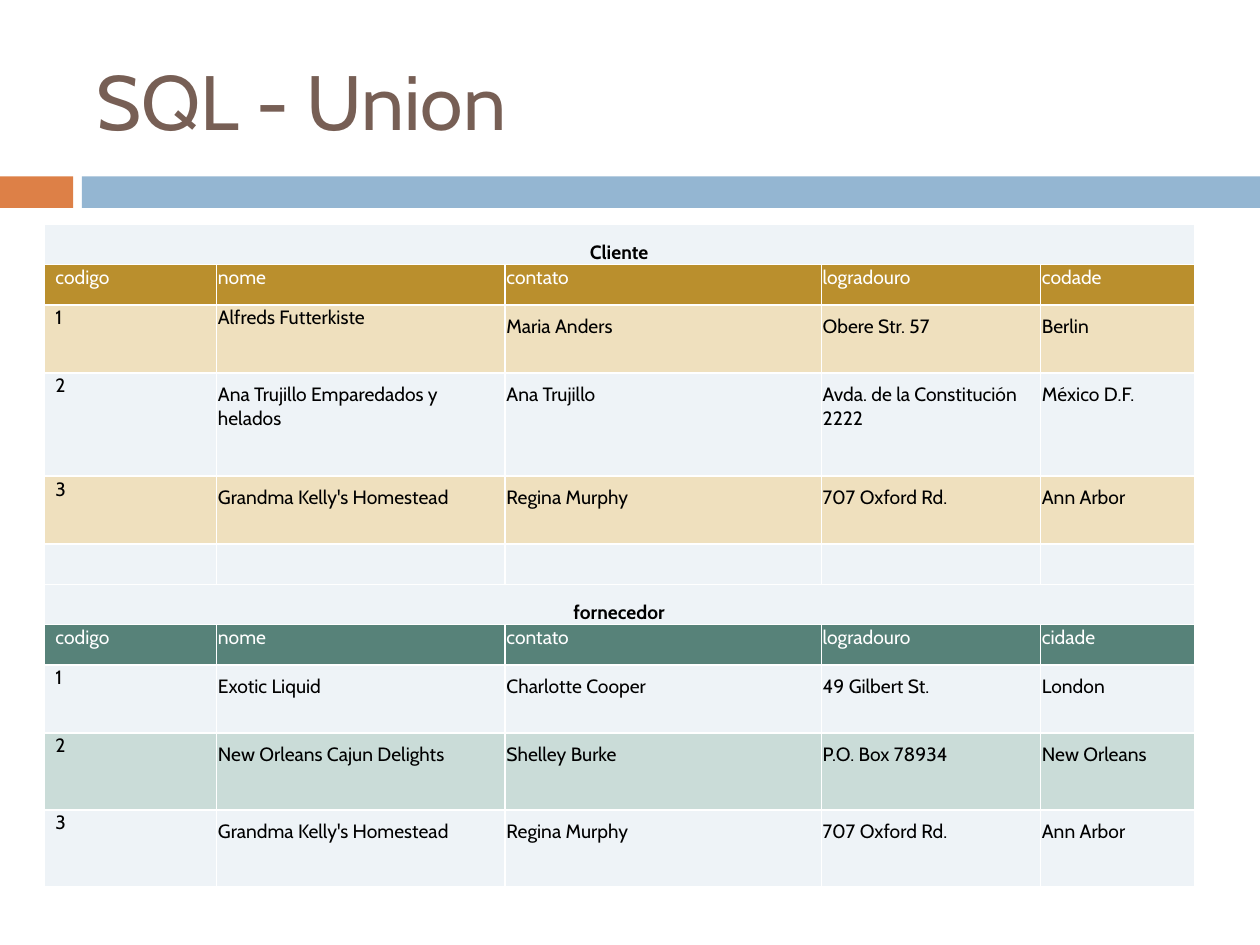
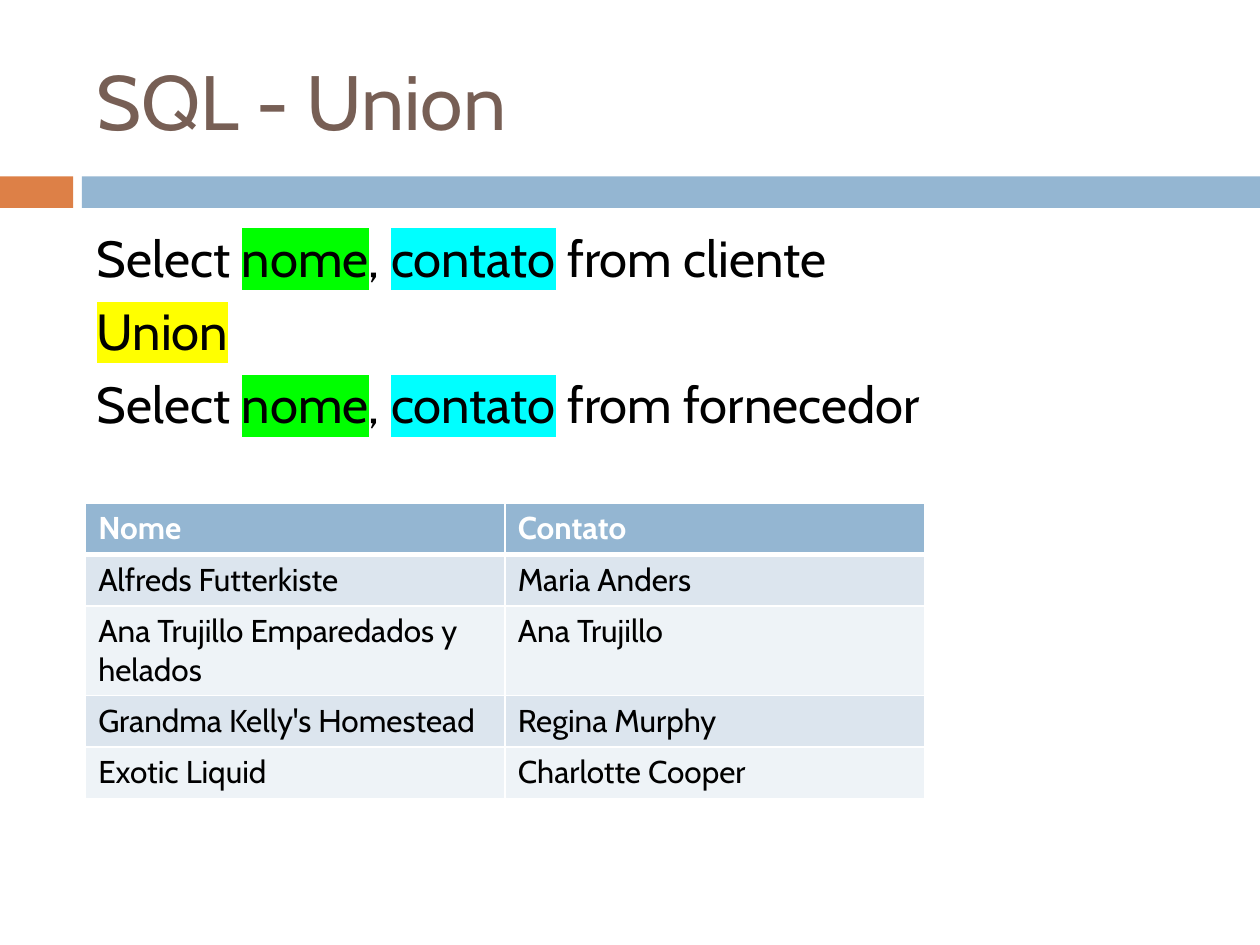
from lxml import etree
from pptx import Presentation
from pptx.dml.color import RGBColor
from pptx.enum import shapes, text
from pptx.oxml import ns
from pptx import util as u

PX = 9144
FONT = "Cabin"
WHITE = RGBColor(0xFF, 0xFF, 0xFF)
BLACK = RGBColor(0, 0, 0)
BROWN = RGBColor(0x77, 0x5F, 0x55)
ORANGE = RGBColor(0xDD, 0x80, 0x47)
BLUE = RGBColor(0x94, 0xB6, 0xD2)
MIST = RGBColor(0xDC, 0xE5, 0xEE)
PALE = RGBColor(0xEE, 0xF3, 0xF7)
GOLD = RGBColor(0xBA, 0x8F, 0x2D)
SAND = RGBColor(0xEF, 0xE0, 0xBE)
TEAL = RGBColor(0x57, 0x82, 0x79)
SAGE = RGBColor(0xCA, 0xDC, 0xD8)
GREEN = RGBColor(0, 0xFF, 0)
CYAN = RGBColor(0, 0xFF, 0xFF)
YELLOW = RGBColor(0xFF, 0xFF, 0)


def add_run(p, words, size, color=BLACK, bold=False, highlight=None):
    r = p.add_run()
    r.text = words
    r.font.color.rgb = color
    if highlight is not None:
        hl = etree.SubElement(r.font._element, ns.qn("a:highlight"))
        etree.SubElement(hl, ns.qn("a:srgbClr"), val=str(highlight))
    for name, value in {"size": u.Pt(size), "name": FONT, "bold": bold}.items():
        setattr(r.font, name, value)


def format_cell(cell, words, size, fill, color, bold, margins, top=1, bottom=1):
    for name, value in zip(("left", "top", "right", "bottom"), margins):
        setattr(cell, f"margin_{name}", value * PX)
    tcPr = cell._tc.get_or_add_tcPr()
    for side, width in zip("LRTB", (1, 1, top, bottom)):
        ln = etree.SubElement(tcPr, ns.qn(f"a:ln{side}"), w=str(u.Pt(width)))
        solid = etree.SubElement(ln, ns.qn("a:solidFill"))
        etree.SubElement(solid, ns.qn("a:srgbClr"), val=str(WHITE))
    cell.fill.solid()
    cell.fill.fore_color.rgb = fill
    p = cell.text_frame.paragraphs[0]
    if words:
        add_run(p, words, size, color, bold)
    else:
        etree.SubElement(p._p, ns.qn("a:endParaRPr"), sz=str(size * 100))


prs = Presentation()
prs.slide_width, prs.slide_height = 1000 * PX, 750 * PX

for _ in range(2):
    s = prs.slides.add_slide(prs.slide_layouts[6])
    for left, width, color in ((0, 58, ORANGE), (65, 935, BLUE)):
        sp = s.shapes.add_shape(shapes.MSO_SHAPE.RECTANGLE,
                                left * PX, 140 * PX, width * PX, 25 * PX)
        sp.shadow.inherit = False
        sp.fill.solid()
        sp.fill.fore_color.rgb = color
        sp.line.fill.background()
    tf = s.shapes.add_textbox(67 * PX, 25 * PX, 892 * PX, 108 * PX).text_frame
    tf.word_wrap = True
    tf.vertical_anchor = text.MSO_ANCHOR.MIDDLE
    add_run(tf.paragraphs[0], "SQL - Union", 44, BROWN)

tables_slide, query_slide = prs.slides

rows = [
    (32, PALE, ["Cliente"]),
    (32, GOLD, ["codigo", "nome", "contato", "logradouro", "codade"]),
    (54, SAND, ["1", "Alfreds Futterkiste", "Maria Anders", "Obere Str. 57", "Berlin"]),
    (82, PALE, ["2", "Ana Trujillo Emparedados y helados", "Ana Trujillo",
                "Avda. de la Constitución 2222", "México D.F."]),
    (54, SAND, ["3", "Grandma Kelly's Homestead", "Regina Murphy",
                "707 Oxford Rd.", "Ann Arbor"]),
    (32, PALE, [""] * 5),
    (32, PALE, ["fornecedor"]),
    (32, TEAL, ["codigo", "nome", "contato", "logradouro", "cidade"]),
    (54, PALE, ["1", "Exotic Liquid", "Charlotte Cooper", "49 Gilbert St.", "London"]),
    (61, SAGE, ["2", "New Orleans Cajun Delights", "Shelley Burke",
                "P.O. Box 78934", "New Orleans"]),
    (61, PALE, ["3", "Grandma Kelly's Homestead", "Regina Murphy",
                "707 Oxford Rd.", "Ann Arbor"]),
]
widths = [137, 229, 251, 174, 122]
tbl = tables_slide.shapes.add_table(len(rows), len(widths), 35 * PX, 178 * PX,
                                    sum(widths) * PX,
                                    sum(row[0] for row in rows) * PX).table
tbl.first_row = tbl.horz_banding = False
for column, width in zip(tbl.columns, widths):
    column.width = width * PX
for i, (height, fill, words) in enumerate(rows):
    tbl.rows[i].height = height * PX
    caption = len(words) == 1
    header = fill in (GOLD, TEAL)
    for j, word in enumerate(words + [""] * (len(widths) - len(words))):
        tight = caption or header or not word or word == "Alfreds Futterkiste"
        if j == 0 and not caption:
            margins = (9, 1, 1, 0)
        else:
            margins = (1, 1, 1, 0) if tight else (1, 8, 1, 8)
        format_cell(tbl.cell(i, j), word, 11, fill, WHITE if header else BLACK,
                    caption, margins)
    if caption:
        cell = tbl.cell(i, 0)
        cell.merge(tbl.cell(i, len(widths) - 1))
        cell.vertical_anchor = text.MSO_ANCHOR.BOTTOM
        cell.text_frame.paragraphs[0].alignment = text.PP_ALIGN.CENTER

query = [
    [("Select ", None), ("nome", GREEN), (", ", None), ("contato", CYAN),
     (" from cliente", None)],
    [("Union", YELLOW)],
    [("Select ", None), ("nome", GREEN), (", ", None), ("contato", CYAN),
     (" from fornecedor", None)],
]
tf = query_slide.shapes.add_textbox(67 * PX, 175 * PX, 892 * PX, 492 * PX).text_frame
tf.word_wrap = True
for i, line in enumerate(query):
    p = tf.add_paragraph() if i else tf.paragraphs[0]
    if i:
        p.space_before = u.Pt(7)
    for words, highlight in line:
        add_run(p, words, 29, highlight=highlight)

result = [
    ("Nome", "Contato"),
    ("Alfreds Futterkiste", "Maria Anders"),
    ("Ana Trujillo Emparedados y helados", "Ana Trujillo"),
    ("Grandma Kelly's Homestead", "Regina Murphy"),
    ("Exotic Liquid", "Charlotte Cooper"),
]
heights = [41, 41, 71, 41, 41]
tbl = query_slide.shapes.add_table(len(result), 2, 68 * PX, 399 * PX,
                                   666 * PX, sum(heights) * PX).table
tbl.horz_banding = False
for i, (height, words) in enumerate(zip(heights, result)):
    tbl.rows[i].height = height * PX
    header = i == 0
    fill = BLUE if header else (PALE, MIST)[i % 2]
    for j, word in enumerate(words):
        format_cell(tbl.cell(i, j), word, 18, fill, WHITE if header else BLACK,
                    header, (10, 5, 10, 5), 3 if i == 1 else 1, 3 if header else 1)

prs.save("out.pptx")
